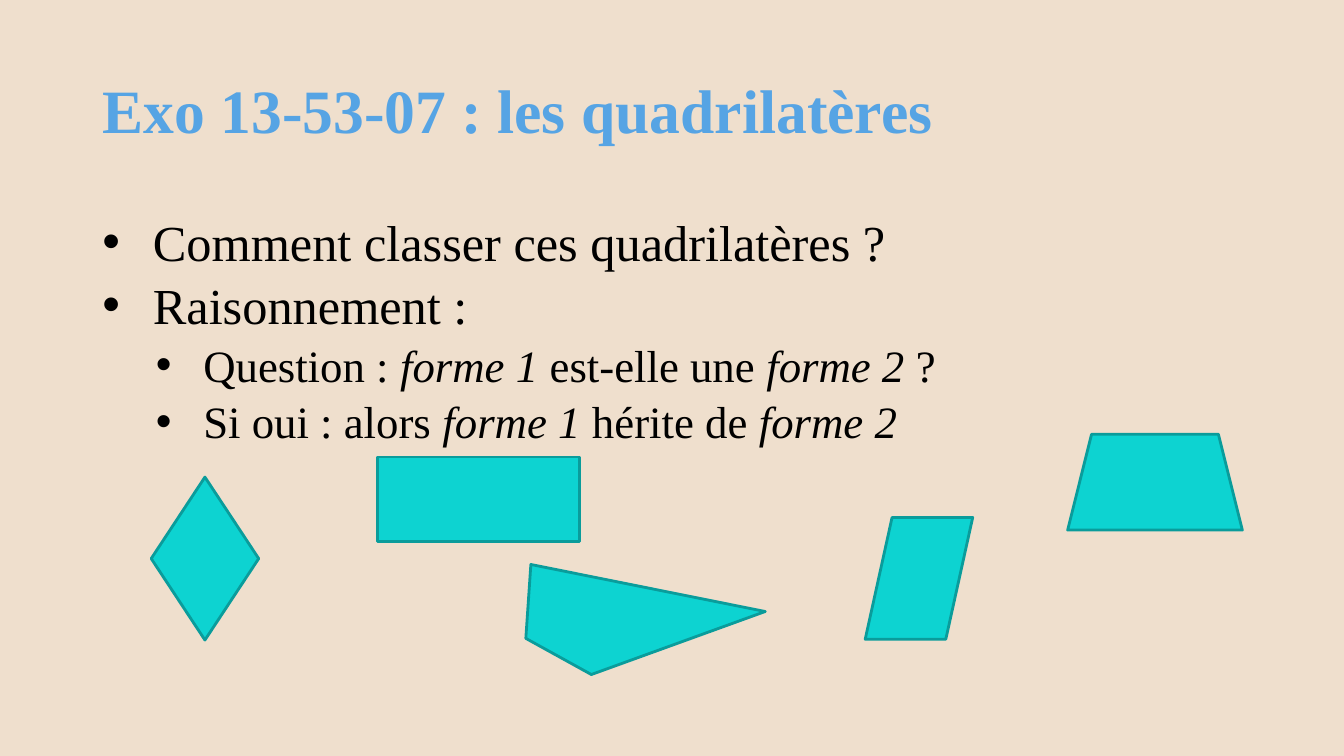
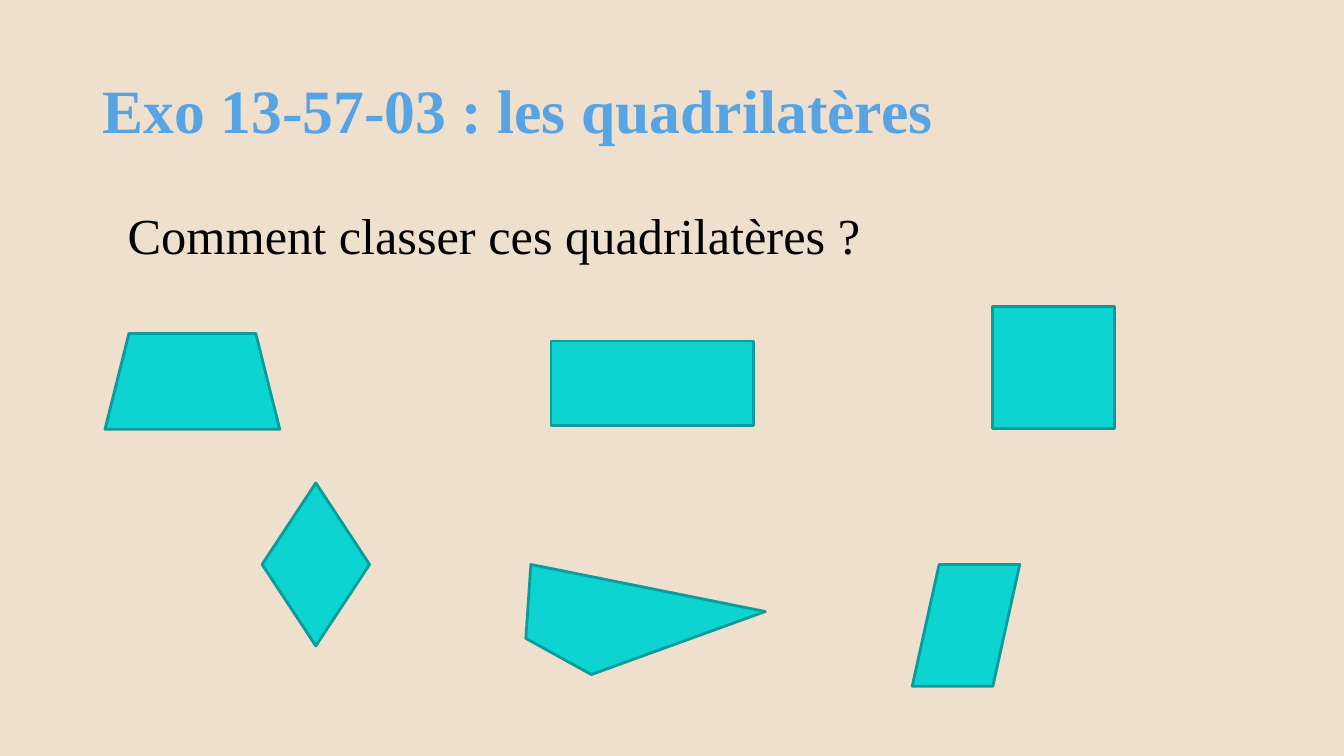
import lxml.etree
import pptx
import pptx.dml.color
import pptx.enum.shapes
import pptx.enum.text
import pptx.oxml.ns
import pptx.util

RGBColor = pptx.dml.color.RGBColor
SAND = RGBColor(0xEF, 0xDF, 0xCD)
SKY = RGBColor(0x56, 0xA4, 0xE4)
BLACK = RGBColor(0, 0, 0)
TURQUOISE = RGBColor(0x0D, 0xD3, 0xD1)
TEAL = RGBColor(0x0A, 0x9C, 0x9B)

COLUMNS, ROWS = 160, 90  # square cells, twelve to the inch
CELL = pptx.util.Inches(1) // 12

TITLE_AREA = (11, 4.8, 138, 17.4)
BODY_AREA = (11, 24.5, 138, 57)
TITLE_FONT = {"name": "Times New Roman", "size": pptx.util.Pt(44), "bold": True}
BODY_FONT = {"name": "Times New Roman", "bold": False}
BODY_SIZES = (36, 32)
BULLET_INDENTS = ((0.5, -0.5), (1, -0.47))
PLAIN_INDENT = (0.25, 0)

KINDS = pptx.enum.shapes.MSO_SHAPE
RECTANGLE = (KINDS.RECTANGLE, 24.1, 10.1)
SQUARE = (KINDS.RECTANGLE, 14.5, 14.5)
DIAMOND = (KINDS.DIAMOND, 12.8, 19.4)
PARALLELOGRAM = (KINDS.PARALLELOGRAM, 12.8, 14.5)
TRAPEZOID = (KINDS.TRAPEZOID, 20.8, 11.4)
IRREGULAR = ((63.2, 67.2), (91.1, 72.8), (70.4, 80.3), (62.6, 76))

QUESTION = "Comment classer ces quadrilatères ?"
REASONING = (
    (0, (QUESTION,)),
    (0, ("Raisonnement :",)),
    (1, ("Question : ", "forme 1", " est-elle une ", "forme 2", " ?")),
    (1, ("Si oui : alors ", "forme 1", " hérite de ", "forme 2")),
)


def cells(*lengths):
    return [round(length * CELL) for length in lengths]


def apply(target, values):
    for name, value in values.items():
        setattr(target, name, value)


class QuadrilateralDeck:
    def __init__(self):
        self.deck = pptx.Presentation()
        self.deck.slide_width, self.deck.slide_height = cells(COLUMNS, ROWS)
        background = self.deck.slide_master.background.fill
        background.solid()
        background.fore_color.rgb = SAND
        self.page = None

    def add_page(self, title):
        self.page = self.deck.slides.add_slide(self.deck.slide_layouts[1])
        frame = self.place(self.page.shapes.title, TITLE_AREA,
                           pptx.enum.text.MSO_ANCHOR.MIDDLE)
        para = frame.paragraphs[0]
        apply(para, {"alignment": pptx.enum.text.PP_ALIGN.LEFT, "line_spacing": 0.9})
        self.add_span(para, title, TITLE_FONT, SKY)

    def place(self, box, area, anchor):
        apply(box, dict(zip(("left", "top", "width", "height"), cells(*area))))
        frame = box.text_frame
        apply(frame, {"word_wrap": True, "vertical_anchor": anchor,
                      "auto_size": pptx.enum.text.MSO_AUTO_SIZE.NONE})
        return frame

    def add_span(self, para, text, font, color):
        span = para.add_run()
        span.text = text
        apply(span.font, font)
        span.font.color.rgb = color

    def set_bullet(self, para, indent, bulleted):
        properties = para._p.get_or_add_pPr()
        for name, inches in zip(("marL", "indent"), indent):
            properties.set(name, str(int(pptx.util.Inches(inches))))

        def add(parent, tag, **attributes):
            return lxml.etree.SubElement(parent, pptx.oxml.ns.qn(tag), attributes)

        if bulleted:
            add(add(properties, "a:buClr"), "a:srgbClr", val=str(BLACK))
            add(properties, "a:buFont", typeface="Arial")
            add(properties, "a:buChar", char="•")
        else:
            add(properties, "a:buNone")

    def add_body(self, items, bulleted=True):
        """Fill the body; every second span of an item is italic."""
        frame = self.place(self.page.placeholders[1], BODY_AREA,
                           pptx.enum.text.MSO_ANCHOR.TOP)
        for index, (level, spans) in enumerate(items):
            para = frame.add_paragraph() if index else frame.paragraphs[0]
            indent = BULLET_INDENTS[level] if bulleted else PLAIN_INDENT
            self.set_bullet(para, indent, bulleted)
            apply(para, {"level": level,
                         "line_spacing": 1.0 if bulleted else 0.9,
                         "space_before": pptx.util.Pt(2 if index else 0)})
            size = pptx.util.Pt(BODY_SIZES[level])
            for position, text in enumerate(spans):
                font = {**BODY_FONT, "size": size, "italic": position % 2 == 1}
                self.add_span(para, text, font, BLACK)

    def paint(self, shape):
        shape.shadow.inherit = False
        shape.fill.solid()
        shape.fill.fore_color.rgb = TURQUOISE
        shape.line.color.rgb = TEAL
        shape.line.width = pptx.util.Pt(2)

    def add_figure(self, figure, left, top):
        kind, width, height = figure
        self.paint(self.page.shapes.add_shape(kind, *cells(left, top, width, height)))

    def add_outline(self, corners):
        start, *others = [cells(*corner) for corner in corners]
        builder = self.page.shapes.build_freeform(*start)
        builder.add_line_segments(others, close=True)
        self.paint(builder.convert_to_shape())

    def add_figures(self, figures):
        for figure, left, top in figures:
            self.add_figure(figure, left, top)
        self.add_outline(IRREGULAR)


def main():
    show = QuadrilateralDeck()

    show.add_page("Exo 13-53-07 : les quadrilatères")
    show.add_body(REASONING)
    show.add_figures((
        (RECTANGLE, 44.9, 54.4),
        (DIAMOND, 18, 56.8),
        (PARALLELOGRAM, 103, 61.6),
        (TRAPEZOID, 127.1, 51.7),
    ))

    show.add_page("Exo 13-57-03 : les quadrilatères")
    show.add_body(((0, (QUESTION,)),), bulleted=False)
    show.add_figures((
        (RECTANGLE, 65.6, 40.6),
        (DIAMOND, 31.2, 57.5),
        (SQUARE, 118.2, 36.5),
        (PARALLELOGRAM, 108.6, 67.2),
        (TRAPEZOID, 12.5, 39.7),
    ))

    show.deck.save("out.pptx")


if __name__ == "__main__":
    main()
